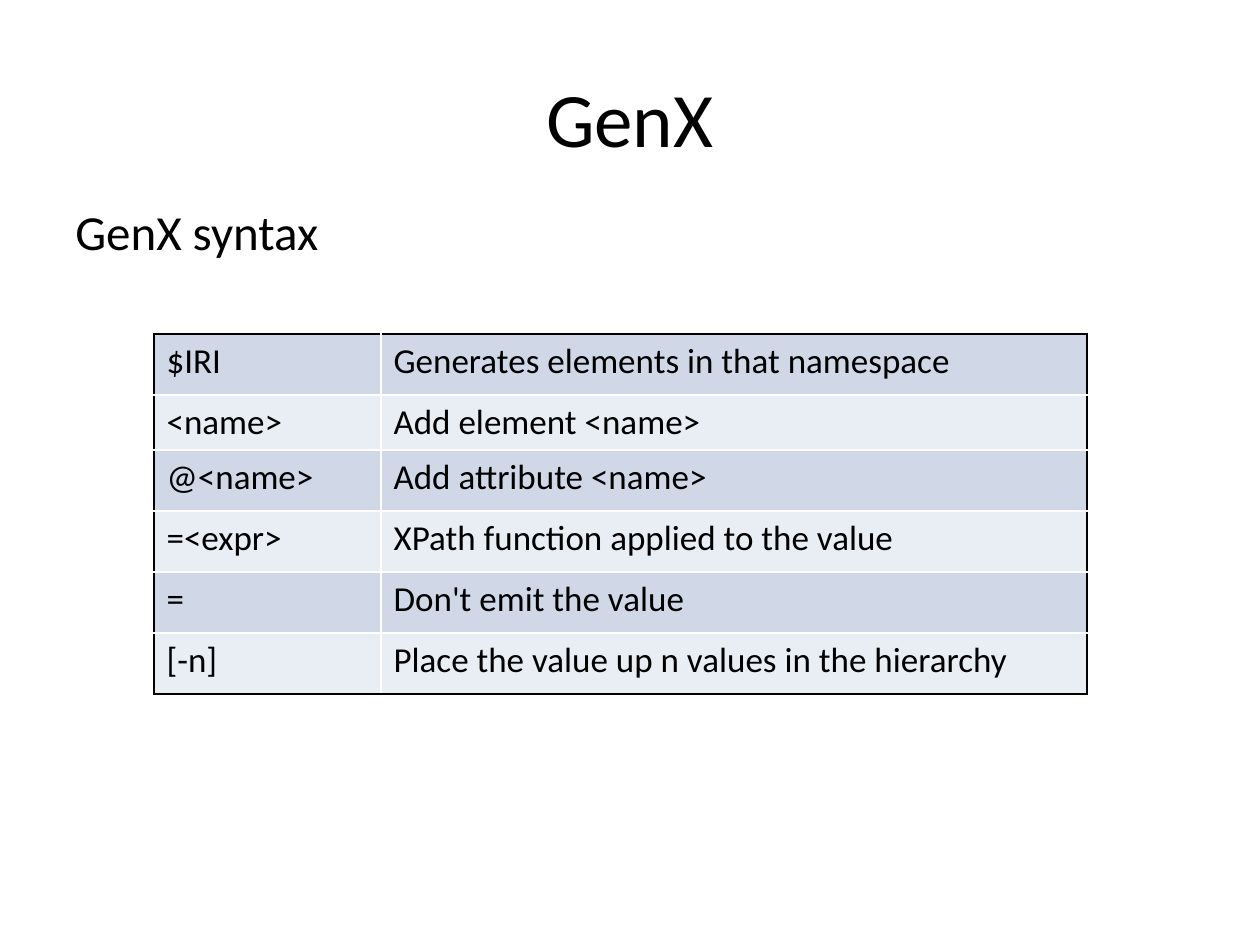
from dataclasses import dataclass

from lxml.etree import SubElement
from pptx import Presentation
from pptx.dml.color import RGBColor
from pptx.enum.text import MSO_ANCHOR, PP_ALIGN
from pptx.oxml.ns import qn
from pptx.util import Emu, Pt

EMU_PER_PX = 914400 / 126


@dataclass(frozen=True)
class Theme:
    font: str = "Calibri"
    ink: str = "000000"
    grid: str = "FFFFFF"
    bands: tuple = ("D0D8E8", "E9EDF4")
    title_size: int = 44
    body_size: int = 28
    table_size: int = 20
    border_width: int = 1


def px(length):
    return Emu(round(length * EMU_PER_PX))


class SlideBuilder:
    def __init__(self, page, theme):
        self.page = page
        self.theme = theme

    def style(self, para, size, align=PP_ALIGN.LEFT):
        para.alignment = align
        para.font.name = self.theme.font
        para.font.size = Pt(size)
        para.font.color.rgb = RGBColor.from_string(self.theme.ink)

    def text(self, content, bounds, size, align=PP_ALIGN.LEFT, anchor=MSO_ANCHOR.TOP):
        box = self.page.shapes.add_textbox(*map(px, bounds))
        frame = box.text_frame
        frame.word_wrap = True
        frame.vertical_anchor = anchor
        frame.text = content
        self.style(frame.paragraphs[0], size, align)

    def border(self, cell, side, color):
        line = SubElement(cell._tc.get_or_add_tcPr(), qn(f"a:ln{side}"),
                          w=str(Pt(self.theme.border_width)))
        fill = SubElement(line, qn("a:solidFill"))
        SubElement(fill, qn("a:srgbClr"), val=color)

    def table(self, rows, left, top, widths, heights):
        """Banded table with a dark outer frame and a light inner grid."""
        frame = self.page.shapes.add_table(
            len(rows), len(widths), px(left), px(top), px(sum(widths)), px(sum(heights)))
        table = frame.table
        table.first_row = False
        for column, width in zip(table.columns, widths):
            column.width = px(width)
        for row, height in zip(table.rows, heights):
            row.height = px(height)
        last_row, last_column = len(rows) - 1, len(widths) - 1
        for r, values in enumerate(rows):
            for c, value in enumerate(values):
                cell = table.cell(r, c)
                on_frame = {"L": c == 0, "R": c == last_column,
                            "T": r == 0, "B": r == last_row}
                for side, outer in on_frame.items():
                    self.border(cell, side, self.theme.ink if outer else self.theme.grid)
                cell.fill.solid()
                band = self.theme.bands[r % len(self.theme.bands)]
                cell.fill.fore_color.rgb = RGBColor.from_string(band)
                cell.text = value
                self.style(cell.text_frame.paragraphs[0], self.theme.table_size)


SYNTAX = [
    ("$IRI", "Generates elements in that namespace"),
    ("<name>", "Add element <name>"),
    ("@<name>", "Add attribute <name>"),
    ("=<expr>", "XPath function applied to the value"),
    ("=", "Don't emit the value"),
    ("[-n]", "Place the value up n values in the hierarchy"),
]


def main():
    deck = Presentation()
    deck.slide_width, deck.slide_height = px(1260), px(945)
    theme = Theme()
    slide = SlideBuilder(deck.slides.add_slide(deck.slide_layouts[6]), theme)
    slide.text("GenX", (63, 38, 1134, 157), theme.title_size,
               PP_ALIGN.CENTER, MSO_ANCHOR.MIDDLE)
    slide.text("GenX syntax", (63, 195, 1134, 431), theme.body_size)
    slide.table(SYNTAX, 154, 334, widths=(227, 706), heights=(61, 55, 61, 61, 61, 61))
    deck.save("out.pptx")


if __name__ == "__main__":
    main()
